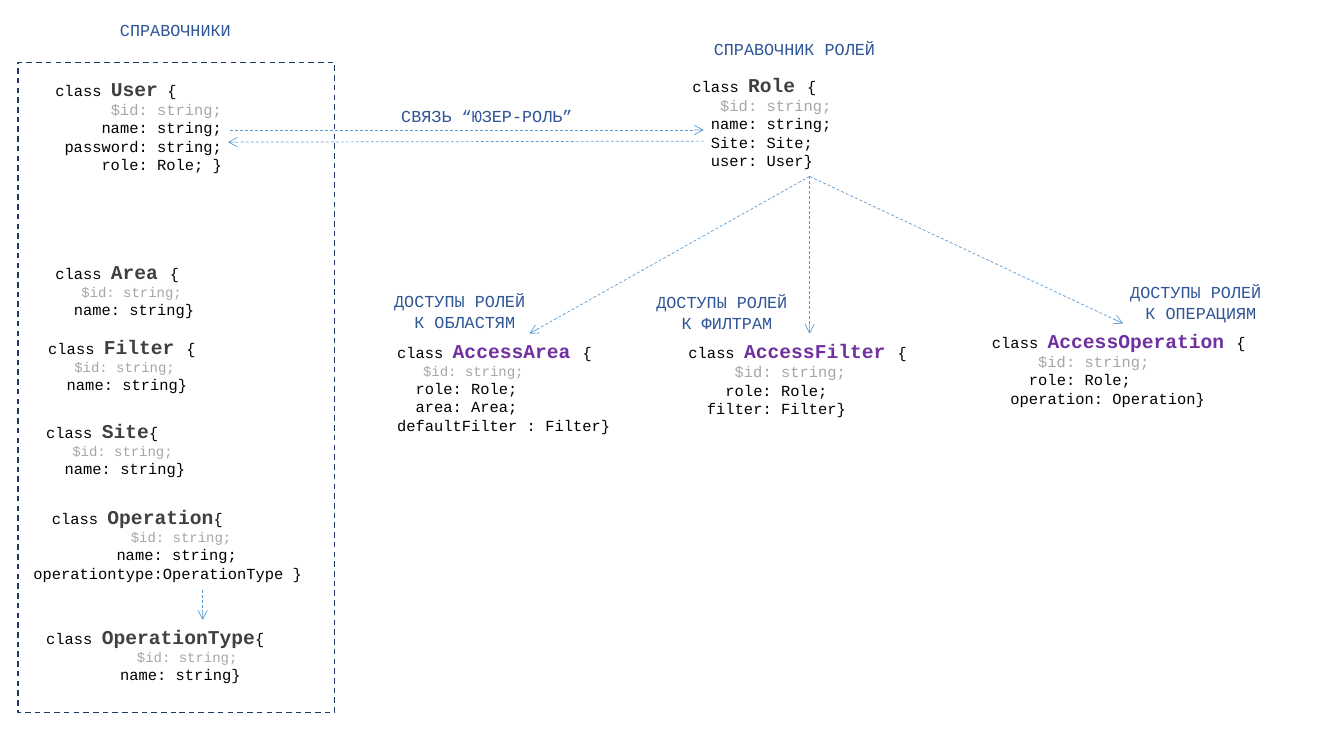
from lxml.etree import SubElement
from pptx import Presentation
from pptx.dml.color import RGBColor
from pptx.enum.dml import MSO_LINE
from pptx.enum.shapes import MSO_CONNECTOR, MSO_SHAPE
from pptx.enum.text import MSO_ANCHOR, MSO_AUTO_SIZE, PP_ALIGN
from pptx.oxml.ns import qn
from pptx.util import Inches, Pt

CHAR_WIDTH = 0.0917
FRAME_FORMAT = {
    "word_wrap": True,
    "auto_size": MSO_AUTO_SIZE.SHAPE_TO_FIT_TEXT,
    "vertical_anchor": MSO_ANCHOR.TOP,
}
BLACK, GREY, BLUE = "000000", "A6A6A6", "2F5597"
DIRECTORY, ACCESS = "404040", "7030A0"

HEADINGS = [
    (6.85, 0.34, 2.06, 0.3, ["СПРАВОЧНИК РОЛЕЙ"]),
    (3.8, 1, 2.06, 0.3, ["СВЯЗЬ “ЮЗЕР-РОЛЬ”"]),
    (3.58, 2.84, 2.06, 0.5, ["ДОСТУПЫ РОЛЕЙ ", "К ОБЛАСТЯМ"]),
    (6.18, 2.85, 2.06, 0.5, ["ДОСТУПЫ РОЛЕЙ ", "К ФИЛТРАМ"]),
    (10.87, 2.75, 2.08, 0.5, ["ДОСТУПЫ РОЛЕЙ ", "К ОПЕРАЦИЯМ"]),
]

# Each class: box, colour, indent, name, brace, id size, id indent, fields with indents.
CLASSES = [
    ((0.45, 0.71, 2.5, 1.08), DIRECTORY, 0, "User", " {", 11, 6,
     [(5, "name: string;"), (1, "password: string;"), (5, "role: Role; }")]),
    ((6.77, 0.67, 2.53, 1.08), DIRECTORY, 0, "Role ", "{", 11, 3,
     [(2, "name: string;"), (2, "Site: Site;"), (2, "user: User}")]),
    ((3.84, 3.31, 2.83, 1.08), ACCESS, 0, "AccessArea ", "{", 10, 2.82,
     [(2, "role: Role;"), (2, "area: Area;"), (0, "defaultFilter : Filter}")]),
    ((6.73, 3.31, 2.59, 0.89), ACCESS, 0, "AccessFilter ", "{", 11, 5,
     [(4, "role: Role;"), (2, "filter: Filter}")]),
    ((9.74, 3.21, 2.79, 0.89), ACCESS, 0, "AccessOperation ", "{", 11, 5,
     [(4, "role: Role;"), (2, "operation: Operation}")]),
    ((0.45, 2.53, 2.28, 0.71), DIRECTORY, 0, "Area ", "{", 10, 2.82,
     [(2, "name: string}")]),
    ((0.38, 3.27, 2.28, 0.71), DIRECTORY, 0, "Filter ", "{", 10, 2.82,
     [(2, "name: string}")]),
    ((0.36, 4.11, 2.28, 0.71), DIRECTORY, 0, "Site", "{", 10, 2.82,
     [(2, "name: string}")]),
    ((0.14, 4.96, 3.08, 0.89), DIRECTORY, 3, "Operation", "{", 10, 11.55,
     [(10, "name: string;"), (1, "operationtype:OperationType }")]),
    ((0.36, 6.15, 2.79, 0.71), DIRECTORY, 0, "OperationType", "{", 10, 9.82,
     [(8, "name: string}")]),
]

ROLE_EXIT = (8.03, 1.75)
ARROWS = [
    ((2.28, 1.29), (6.98, 1.29)),
    ((6.98, 1.4), (2.26, 1.41)),
    (ROLE_EXIT, (5.25, 3.31)),
    (ROLE_EXIT, (8.03, 3.31)),
    (ROLE_EXIT, (11.14, 3.21)),
    ((2.01, 5.85), (2.01, 6.15)),
]


def color(hex_value):
    """Turn a hex string into a colour."""
    return RGBColor.from_string(hex_value)


def apply_format(target, values):
    """Set every format value on the target."""
    for name, value in values.items():
        setattr(target, name, value)


def add_run(paragraph, text, size, hex_value, bold=False):
    """Append a monospaced run to the paragraph."""
    run = paragraph.add_run()
    run.text = text
    apply_format(run.font, {"name": "Courier New", "size": Pt(size), "bold": bold})
    run.font.color.rgb = color(hex_value)


def fill_lines(frame, lines):
    """Write lines of (indent, alignment, runs) into the text frame."""
    apply_format(frame, FRAME_FORMAT)
    for number, (indent, alignment, runs) in enumerate(lines):
        paragraph = frame.add_paragraph() if number else frame.paragraphs[0]
        paragraph.alignment = alignment
        margin = Inches(indent * CHAR_WIDTH)
        paragraph._p.get_or_add_pPr().set("marL", str(margin))
        for run in runs:
            add_run(paragraph, *run)


def add_text(slide, box, lines):
    """Add a text box holding the lines."""
    textbox = slide.shapes.add_textbox(*map(Inches, box))
    fill_lines(textbox.text_frame, lines)


def heading_lines(texts):
    """Format the texts as centred blue heading lines."""
    return [(0, PP_ALIGN.CENTER, [(text, 12, BLUE)]) for text in texts]


def add_class(slide, box, name_color, indent, name, brace, id_size, id_indent, fields):
    """Add the declaration of one class."""
    declaration = [("class ", 11, BLACK), (name, 14, name_color, True), (brace, 11, BLACK)]
    rows = [(indent, declaration), (id_indent, [("$id: string;", id_size, GREY)])]
    rows += [(offset, [(field, 11, BLACK)]) for offset, field in fields]
    add_text(slide, box, [(offset, PP_ALIGN.LEFT, runs) for offset, runs in rows])


def style_line(line, hex_value, width):
    """Make the line dashed in the given colour and width."""
    line.color.rgb = color(hex_value)
    apply_format(line, {"width": Pt(width), "dash_style": MSO_LINE.DASH})


def add_arrow(slide, start, end):
    """Add a thin dashed arrow from start to end."""
    arrow = slide.shapes.add_connector(MSO_CONNECTOR.STRAIGHT, *map(Inches, start + end))
    style_line(arrow.line, "5B9BD5", 0.5)
    SubElement(arrow.line._get_or_add_ln(), qn("a:tailEnd"), type="arrow")
    SubElement(arrow._element.spPr, qn("a:effectLst"))


def add_directory_border(slide):
    """Add the dashed border around the directories."""
    border = slide.shapes.add_shape(MSO_SHAPE.RECTANGLE, *map(Inches, (0.18, 0.62, 3.14, 6.45)))
    border.shadow.inherit = False
    border.fill.background()
    style_line(border.line, "203864", 1)


def place_title(slide):
    """Move and fill the title above the directories."""
    title = slide.shapes.title
    edges = ("left", "top", "width", "height")
    apply_format(title, dict(zip(edges, map(Inches, (0.71, 0.15, 2.06, 0.3)))))
    fill_lines(title.text_frame, heading_lines(["СПРАВОЧНИКИ"]))


def main():
    """Build the class diagram and save it."""
    presentation = Presentation()
    apply_format(presentation, {"slide_width": Inches(13.33), "slide_height": Inches(7.5)})
    slide = presentation.slides.add_slide(presentation.slide_layouts.get_by_name("Title Only"))
    place_title(slide)
    add_directory_border(slide)
    for class_values in CLASSES:
        add_class(slide, *class_values)
    for *box, texts in HEADINGS:
        add_text(slide, box, heading_lines(texts))
    for start, end in ARROWS:
        add_arrow(slide, start, end)
    presentation.save("out.pptx")


main()
